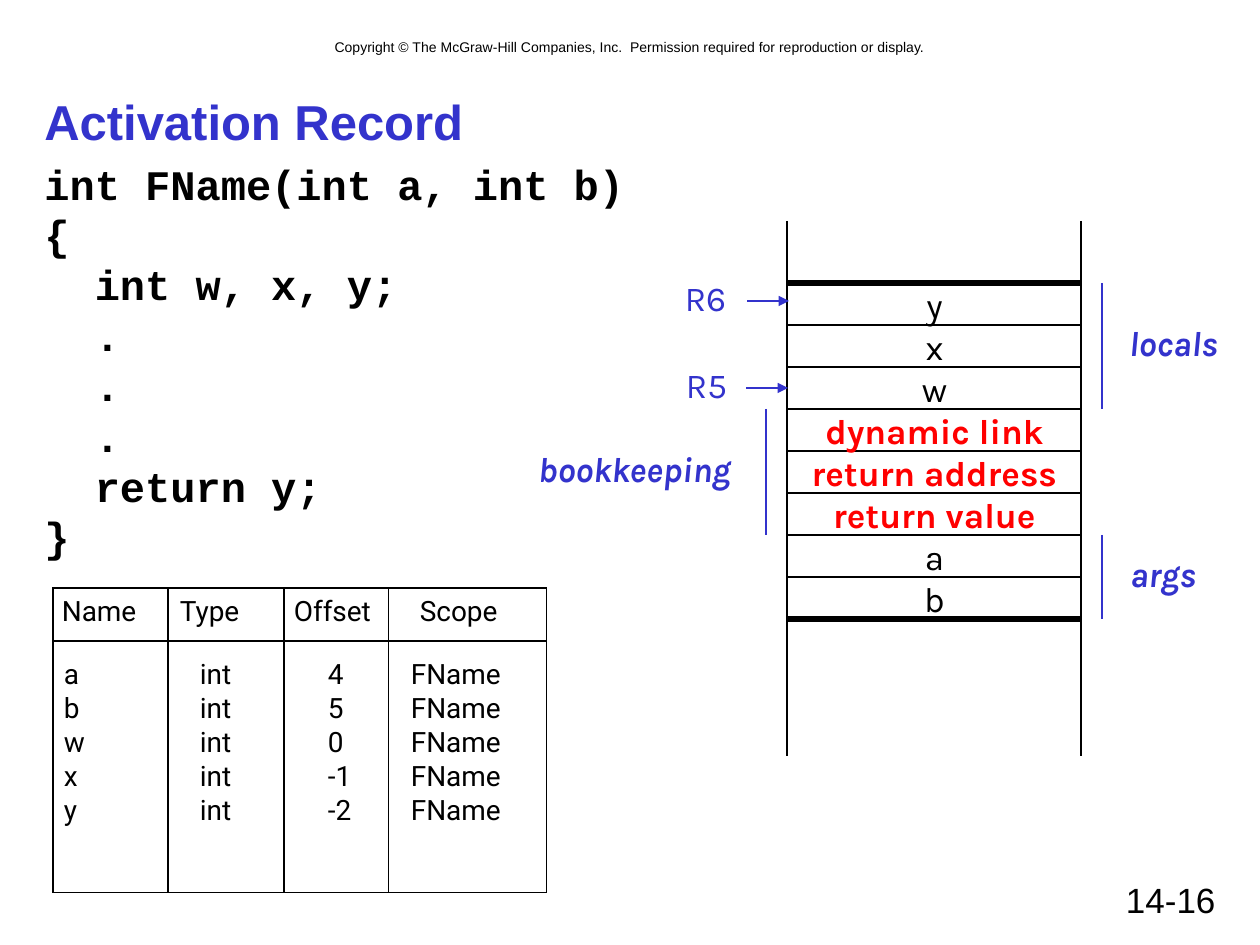
import pptx
import pptx.dml.color
import pptx.enum.shapes
import pptx.enum.text
import pptx.oxml
import pptx.oxml.ns
import pptx.util

PX = 914400 / 126
BLACK, BLUE, RED = "000000", "3333CC", "FF0000"
ALIGN = pptx.enum.text.PP_ALIGN


def color(value):
    return pptx.dml.color.RGBColor.from_string(value)


def write(frame, lines, fmt, align=ALIGN.LEFT, pitch=None):
    """Fill a frame with one paragraph per line; pitch is the line height in points."""
    fmt = dict(fmt)
    base_ink = fmt.pop("ink", BLACK)
    for number, line in enumerate(lines):
        para = frame.paragraphs[0] if number == 0 else frame.add_paragraph()
        para.alignment = align
        if pitch:
            para.line_spacing = pptx.util.Pt(pitch)
        span = para.add_run()
        span.text = line
        for name, value in fmt.items():
            setattr(span.font, name, value)
        span.font.color.rgb = color(base_ink)


deck = pptx.Presentation()
deck.slide_width = round(1260 * PX)
deck.slide_height = round(945 * PX)
page = deck.slides.add_slide(deck.slide_layouts[6])

# Text boxes
small = {"name": "Arial", "size": pptx.util.Pt(8)}
number = {"name": "Arial", "size": pptx.util.Pt(20)}
heading = {"name": "Arial", "size": pptx.util.Pt(28), "bold": True, "ink": BLUE}
code = {"name": "Courier New", "size": pptx.util.Pt(24), "bold": True}
register = {"name": "Karla", "size": pptx.util.Pt(20), "ink": BLUE}
group = {**register, "bold": True, "italic": True}
code_lines = ["int FName(int a, int b)", "{", "  int w, x, y;", "  .", "  .", "  .",
              "  return y;", "}"]
notice = ("Copyright © The McGraw-Hill Companies, Inc.  "
          "Permission required for reproduction or display.")
texts = [
    ((84, 32, 1092, 30), [notice], small, ALIGN.CENTER, None),
    ((903, 872, 325, 53), ["14-16"], number, ALIGN.RIGHT, None),
    ((32, 84, 1197, 73), ["Activation Record"], heading, ALIGN.LEFT, None),
    ((32, 152, 1187, 703), code_lines, code, ALIGN.LEFT, 28.8),
    ((515, 441, 239, 55), ["bookkeeping"], group, ALIGN.CENTER, 24),
    ((1113, 315, 121, 55), ["locals"], group, ALIGN.CENTER, 24),
    ((1114, 546, 98, 55), ["args"], group, ALIGN.CENTER, 24),
    ((672, 270, 67, 55), ["R6"], register, ALIGN.CENTER, 24),
    ((673, 357, 67, 55), ["R5"], register, ALIGN.CENTER, 24),
]
for place, lines, fmt, align, pitch in texts:
    box = page.shapes.add_textbox(*[round(v * PX) for v in place])
    box.text_frame.word_wrap = True
    if fmt is heading:
        box.text_frame.vertical_anchor = pptx.enum.text.MSO_ANCHOR.MIDDLE
    write(box.text_frame, lines, fmt, align, pitch)

# Symbol table
columns = [  # heading, values, width, heading indent, value indent
    ("Name", ["a", "b", "w", "x", "y"], 115, 9, 11),
    ("Type", ["int"] * 5, 116, 12, 32),
    ("Offset", ["4", "5", "0", "-1", "-2"], 105, 10, 44),
    ("Scope", ["FName"] * 5, 158, 31, 22),
]
row_heights = [53, 51, 34, 34, 34, 99]
last = len(row_heights) - 1
symbols = page.shapes.add_table(
    len(row_heights), len(columns), round(53 * PX), round(588 * PX),
    round(494 * PX), round(sum(row_heights) * PX)).table
symbols.first_row = symbols.horz_banding = False
for row, height in zip(symbols.rows, row_heights):
    row.height = round(height * PX)
body = {"name": "Roboto", "size": pptx.util.Pt(16)}
for c, (title, values, width, title_indent, value_indent) in enumerate(columns):
    symbols.columns[c].width = round(width * PX)
    for r, value in enumerate([title] + values):
        cell = symbols.cell(r, c)
        cell.margin_left = round((value_indent if r else title_indent) * PX)
        cell.margin_right = cell.margin_bottom = 0
        cell.margin_top = round({0: 7, 1: 17}.get(r, 0) * PX)
        cell.fill.background()
        write(cell.text_frame, [value], body, pitch=19.2)
        ruled = {"lnL": True, "lnR": True, "lnT": r <= 1, "lnB": r in (0, last)}
        for order, (side, shown) in enumerate(ruled.items()):
            paint = (f'<a:solidFill><a:srgbClr val="{BLACK}"/></a:solidFill>'
                     if shown else "<a:noFill/>")
            cell._tc.get_or_add_tcPr().insert(order, pptx.oxml.parse_xml(
                f'<a:{side} {pptx.oxml.ns.nsdecls("a")} w="9525">{paint}</a:{side}>'))

# Stack: two rails, nine rungs, group brackets and register pointers
LEFT, RIGHT, TOP, STEP = 787, 1081, 283, 42
rungs = [TOP + STEP * i for i in range(9)]
lines = [(x, 221, x, 756, BLACK, 0.75, False) for x in (LEFT, RIGHT)]
lines += [(LEFT, y, RIGHT, y, BLACK, 3 if y in (rungs[0], rungs[-1]) else 0.75, False)
          for y in rungs]
lines += [(x, rungs[start], x, rungs[end], BLUE, 0.75, False)
          for x, start, end in ((766, 3, 6), (1102, 0, 3), (1102, 6, 8))]
lines += [(x, y, x - 42, y, BLUE, 0.75, True) for x, y in ((789, 301), (788, 388))]
for x1, y1, x2, y2, ink, weight, arrow in lines:
    line = page.shapes.add_connector(
        pptx.enum.shapes.MSO_CONNECTOR.STRAIGHT,
        *[round(v * PX) for v in (x1, y1, x2, y2)])
    line.line.color.rgb = color(ink)
    line.line.width = pptx.util.Pt(weight)
    if arrow:
        line.line._get_or_add_ln().append(pptx.oxml.parse_xml(
            f'<a:headEnd {pptx.oxml.ns.nsdecls("a")} type="triangle"/>'))
    line._element.spPr.append(pptx.oxml.parse_xml(
        f'<a:effectLst {pptx.oxml.ns.nsdecls("a")}/>'))

slots = ["y", "x", "w", "dynamic link", "return address", "return value", "a", "b"]
stack = page.shapes.add_textbox(*[round(v * PX) for v in (792, 277, 285, 349)])
stack.text_frame.word_wrap = False
write(stack.text_frame, slots, {**register, "ink": BLACK}, ALIGN.CENTER, 24)
for para in stack.text_frame.paragraphs[3:6]:
    para.runs[0].font.bold = True
    para.runs[0].font.color.rgb = color(RED)

deck.save("out.pptx")
